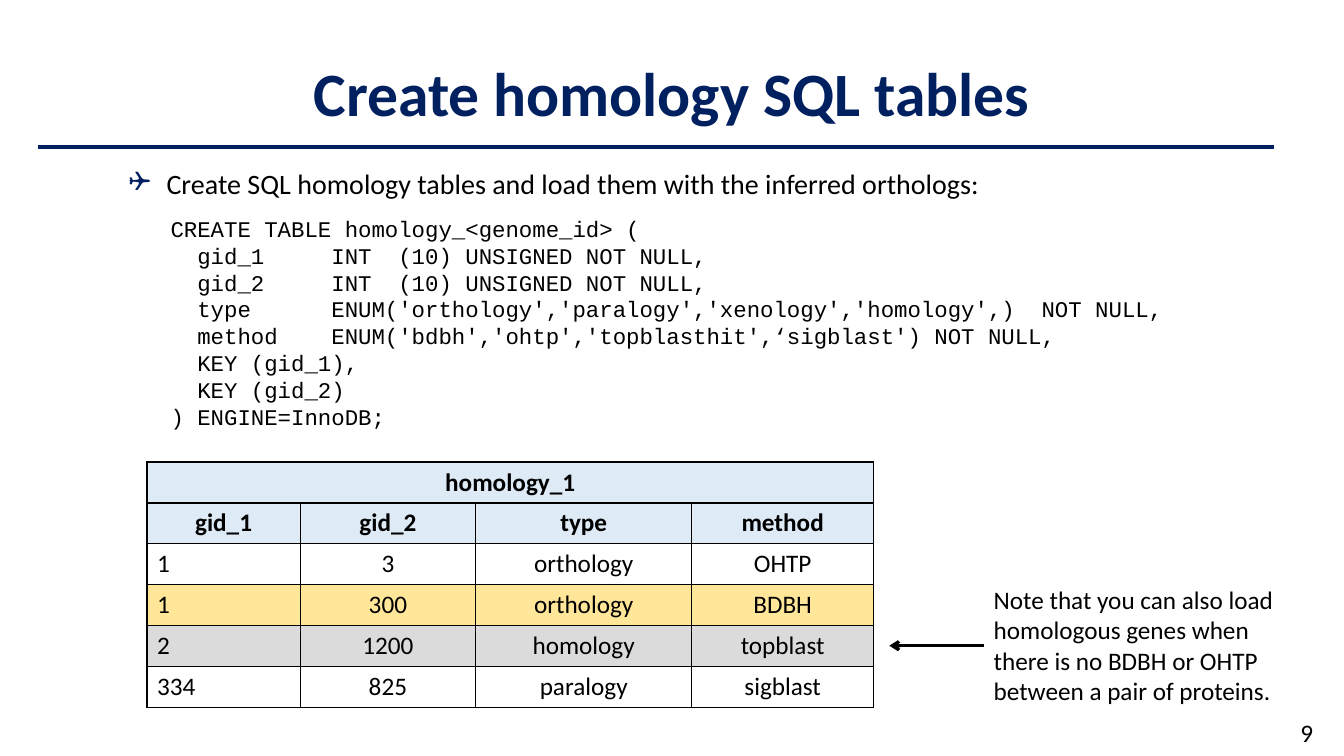
from pptx import Presentation
from pptx.dml.color import RGBColor
from pptx.enum.shapes import MSO_CONNECTOR as Connector
from pptx.enum.text import MSO_ANCHOR as Anchor, MSO_AUTO_SIZE as AutoSize, PP_ALIGN as Align
from pptx.oxml import parse_xml
from pptx.oxml.ns import nsdecls
from pptx.util import Pt

PX = 9525  # 96 px to the inch

THEME = {
    "navy": "002060", "black": "000000",
    "header": "DEEBF7", "best": "FFE699", "other": "DBDBDB",
    "sans": "Calibri", "mono": "Courier New",
    "title": 44, "list": 20, "text": 18, "code": 16,
}


def write(frame, lines, size, font="sans", color="black", bold=False, **layout):
    """Fill a text frame with one formatted paragraph per line."""
    for index, line in enumerate(lines):
        para = frame.paragraphs[0] if index == 0 else frame.add_paragraph()
        for name, value in layout.items():
            setattr(para, name, value)
        span = para.add_run()
        span.text = line
        look = {"size": Pt(THEME[size]), "name": THEME[font], "bold": bold}
        for name, value in look.items():
            setattr(span.font, name, value)
        span.font.color.rgb = RGBColor.from_string(THEME[color])


def draw_line(start, end, color, width):
    line = page.shapes.add_connector(Connector.STRAIGHT, *(n * PX for n in start + end))
    line.line.color.rgb = RGBColor.from_string(THEME[color])
    line.line.width = Pt(width)
    line._element.spPr.append(parse_xml(f"<a:effectLst {nsdecls('a')}/>"))
    return line


deck = Presentation()
deck.slide_width, deck.slide_height = 1280 * PX, 720 * PX
page = deck.slides.add_slide(deck.slide_layouts[1])

# Title and list placeholders
title, body = page.shapes.title, page.placeholders[1]
for box, place in ((title, (88, 22, 1104, 139)), (body, (113, 154, 836, 42))):
    box.left, box.top, box.width, box.height = (n * PX for n in place)
    box.text_frame.auto_size = AutoSize.NONE
title.text_frame.vertical_anchor = Anchor.MIDDLE
write(title.text_frame, ["Create homology SQL tables"], "title", color="navy", bold=True,
      alignment=Align.CENTER, line_spacing=0.9)
body.text_frame.word_wrap = False
write(body.text_frame,
      ["Create SQL homology tables and load them with the inferred orthologs:"],
      "list", space_before=Pt(0))

# Square bullet of the list
bullet = body.text_frame.paragraphs[0]._p.get_or_add_pPr()
bullet.set("marL", str(36 * PX))
bullet.set("indent", str(-36 * PX))
for mark in (f'<a:buClr {nsdecls("a")}><a:srgbClr val="{THEME["navy"]}"/></a:buClr>',
             f'<a:buFont {nsdecls("a")} typeface="Wingdings"/>',
             f'<a:buChar {nsdecls("a")} char="❑"/>'):
    bullet.append(parse_xml(mark))

# Rule under the title
draw_line((36, 140), (1213, 140), "navy", 3)

# SQL code, side note and page number
code = [
    "CREATE TABLE homology_<genome_id> (",
    "  gid_1     INT  (10) UNSIGNED NOT NULL,",
    "  gid_2     INT  (10) UNSIGNED NOT NULL,",
    "  type      ENUM('orthology','paralogy','xenology','homology',)  NOT NULL,",
    "  method    ENUM('bdbh','ohtp','topblasthit',‘sigblast') NOT NULL,",
    "  KEY (gid_1),",
    "  KEY (gid_2)",
    ") ENGINE=InnoDB;",
]
note = ["Note that you can also load homologous genes when there is no BDBH or OHTP "
        "between a pair of proteins."]
for place, lines, size, font, wrap in (
    ((153, 200, 998, 217), code, "code", "mono", True),
    ((937, 552, 292, 126), note, "text", "sans", True),
    ((1229, 678, 32, 38), ["9"], "text", "sans", False),
):
    box = page.shapes.add_textbox(*(n * PX for n in place))
    box.text_frame.word_wrap = wrap
    write(box.text_frame, lines, size, font)

# Homology table
rows = [
    ("header", ["homology_1", "", "", ""]),
    ("header", ["gid_1", "gid_2", "type", "method"]),
    (None, ["1", "3", "orthology", "OHTP"]),
    ("best", ["1", "300", "orthology", "BDBH"]),
    ("other", ["2", "1200", "homology", "topblast"]),
    (None, ["334", "825", "paralogy", "sigblast"]),
]
widths, row_height = [146, 167, 206, 173], 39
table = page.shapes.add_table(len(rows), len(widths), 140 * PX, 440 * PX,
                              sum(widths) * PX, len(rows) * row_height * PX).table
table.first_row = table.horz_banding = False
for column, width in zip(table.columns, widths):
    column.width = width * PX
table.cell(0, 0).merge(table.cell(0, len(widths) - 1))

for r, (fill, values) in enumerate(rows):
    heading = fill == "header"
    for c, value in enumerate(values):
        cell = table.cell(r, c)
        for side in "LRTB":
            cell._tc.get_or_add_tcPr().append(parse_xml(
                f'<a:ln{side} {nsdecls("a")} w="12700"><a:solidFill>'
                f'<a:srgbClr val="{THEME["black"]}"/></a:solidFill></a:ln{side}>'))
        if fill:
            cell.fill.solid()
            cell.fill.fore_color.rgb = RGBColor.from_string(THEME[fill])
        else:
            cell.fill.background()
        if value:
            align = Align.CENTER if heading or c else Align.LEFT
            write(cell.text_frame, [value], "text", bold=heading, alignment=align)

# Arrow from the note to the table
arrow = draw_line((937, 615), (847, 615), "black", 2.25)
arrow.line._get_or_add_ln().append(parse_xml(f'<a:tailEnd {nsdecls("a")} type="arrow"/>'))

deck.save("out.pptx")
